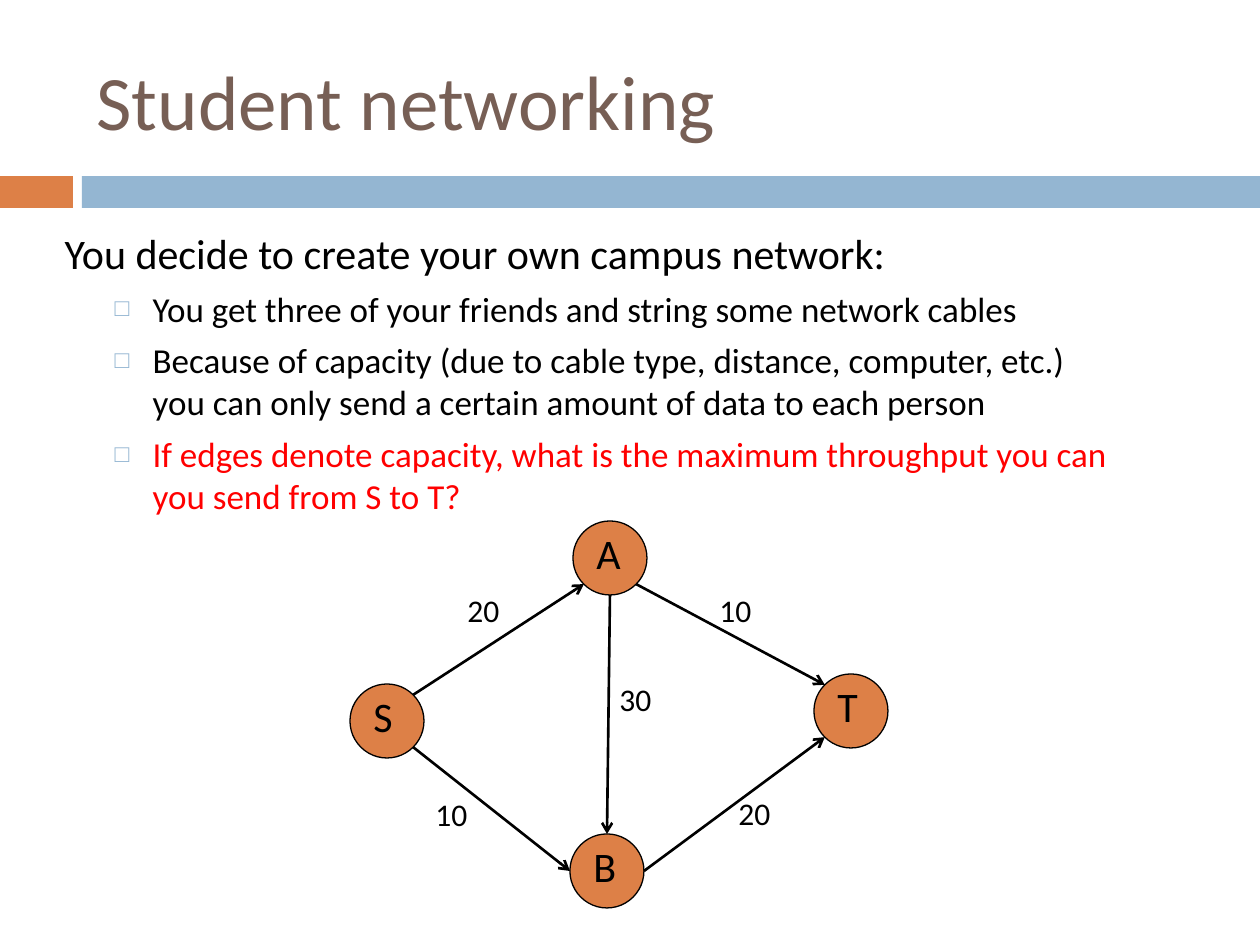
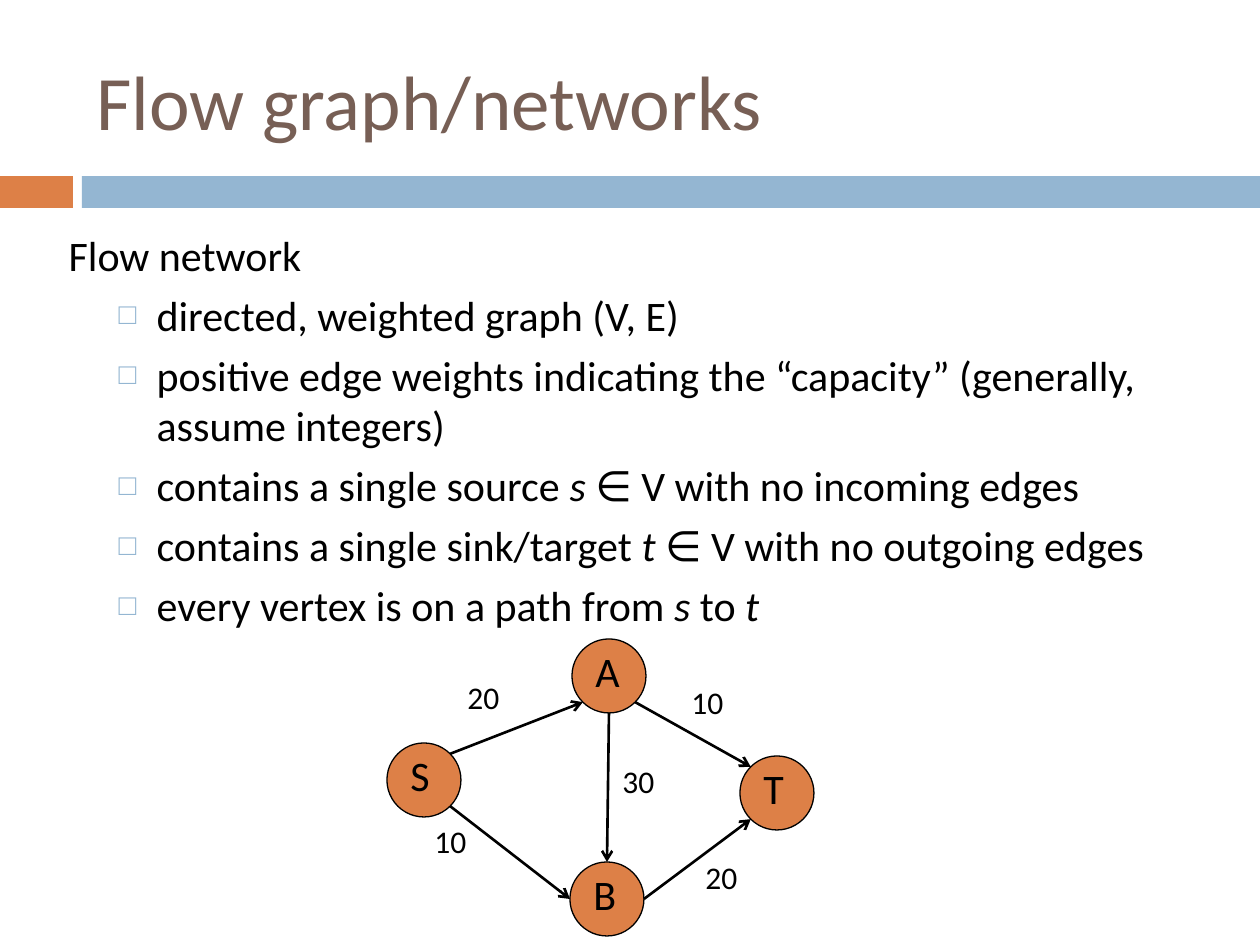
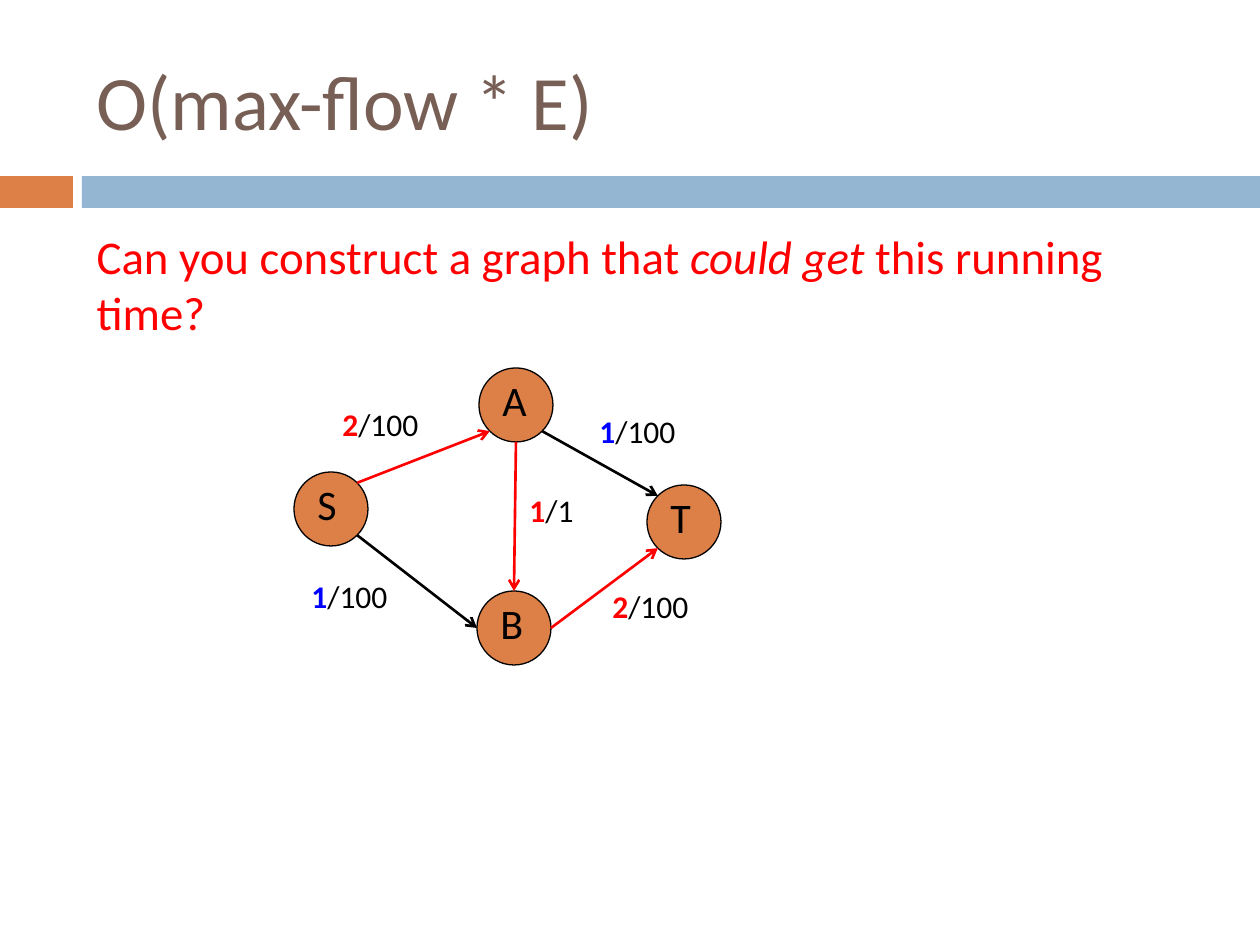
from math import cos, radians, sin

from lxml.etree import SubElement
from pptx import Presentation
from pptx.dml.color import RGBColor
from pptx.enum.shapes import MSO_CONNECTOR, MSO_SHAPE
from pptx.enum.text import MSO_ANCHOR, MSO_AUTO_SIZE, PP_ALIGN
from pptx.oxml.ns import qn
from pptx.util import Emu, Pt

# Shared look
SCALE = 914400 / 126
FONT = "Calibri"
BROWN, ORANGE, BLUE = "775F55", "DD8047", "94B6D2"
BLACK, RED, NAVY = "000000", "FF0000", "0000FF"
NODE = 74

# Edge: from node, angle, to node, angle (degrees clockwise from the right)
EDGES = [("S", -45, "A", 135), ("S", 45, "B", 180), ("B", 0, "T", 135),
         ("A", 90, "B", -90), ("A", 45, "T", -135)]


def px(n):
    return Emu(round(n * SCALE))


def rgb(code):
    return RGBColor.from_string(code)


def style(font, size, color):
    font.name = FONT
    font.size = Pt(size)
    font.color.rgb = rgb(color)


def place(shape, left, top, width, height):
    shape.left, shape.top = px(left), px(top)
    shape.width, shape.height = px(width), px(height)


def form(shapes, kind, box, fill, line=None):
    shape = shapes.add_shape(kind, *map(px, box))
    shape.shadow.inherit = False
    shape.fill.solid()
    shape.fill.fore_color.rgb = rgb(fill)
    if line:
        shape.line.color.rgb = rgb(line)
        shape.line.width = Pt(0.75)
    else:
        shape.line.fill.background()


def write(shapes, box, size):
    """Add a one-line text box and return its paragraph."""
    frame = shapes.add_textbox(*map(px, box)).text_frame
    frame.word_wrap = True
    para = frame.paragraphs[0]
    style(para.font, size, BLACK)
    return para


# Title and bands
def start(deck, title):
    slide = deck.slides.add_slide(deck.slide_layouts[1])
    form(slide.shapes, MSO_SHAPE.RECTANGLE, (0, 176, 73, 32), ORANGE)
    form(slide.shapes, MSO_SHAPE.RECTANGLE, (82, 176, 1178, 32), BLUE)
    head = slide.shapes.title
    place(head, 84, 32, 1124, 136)
    frame = head.text_frame
    frame.text = title
    frame.auto_size = MSO_AUTO_SIZE.NONE
    frame.vertical_anchor = MSO_ANCHOR.MIDDLE
    para = frame.paragraphs[0]
    para.alignment = PP_ALIGN.LEFT
    style(para.font, 44, BROWN)
    return slide


# Body list
def mark(para, level):
    """Give a paragraph its indent, and a square bullet below the top level."""
    prop = para._p.get_or_add_pPr()
    prop.set("marL", str(px(88 * level)))
    prop.set("indent", str(px(-38 * level)))
    if not level:
        SubElement(prop, qn("a:buNone"))
        return
    tint = SubElement(prop, qn("a:buClr"))
    SubElement(tint, qn("a:srgbClr")).set("val", BLUE)
    SubElement(prop, qn("a:buSzPct")).set("val", "70000")
    SubElement(prop, qn("a:buChar")).set("char", "□")


def body(slide, box, lines):
    """Fill the body with (text, level, size, color); _x_ is italic."""
    shape = slide.placeholders[1]
    place(shape, *box)
    frame = shape.text_frame
    frame.auto_size = MSO_AUTO_SIZE.NONE
    for i, (text, level, size, color) in enumerate(lines):
        para = frame.add_paragraph() if i else frame.paragraphs[0]
        para.level = level
        para.space_before = Pt(5.5 if i else 0)
        mark(para, level)
        style(para.font, size, color)
        for j, part in enumerate(text.split("_")):
            if part:
                run = para.add_run()
                run.text = part
                if j % 2:
                    run.font.italic = True


# Flow graph
def node(slide, name, left, top):
    group = slide.shapes.add_group_shape().shapes
    form(group, MSO_SHAPE.OVAL, (left, top, NODE, NODE), ORANGE, BLACK)
    write(group, (left + 11, top, 63, 63), 24).text = name


def rim(spot, angle):
    half = NODE / 2
    turn = radians(angle)
    return (px(spot[0] + half + half * cos(turn)),
            px(spot[1] + half + half * sin(turn)))


def arrow(slide, start, end, color):
    link = slide.shapes.add_connector(MSO_CONNECTOR.STRAIGHT, *start, *end)
    link.line.color.rgb = rgb(color)
    link.line.width = Pt(1.5)
    SubElement(link.get_or_add_ln(), qn("a:tailEnd")).set("type", "arrow")
    SubElement(link._element.spPr, qn("a:effectLst"))


def label(slide, text, color, left, top, width):
    """Write a capacity, or flow/capacity with the flow bold in color."""
    para = write(slide.shapes, (left, top, width, 50), 18)
    flow, slash, rest = text.partition("/")
    run = para.add_run()
    run.text = flow
    if slash:
        run.font.bold = True
        run.font.color.rgb = rgb(color)
        para.add_run().text = slash + rest


def graph(slide, spots, labels, route=()):
    """Draw nodes, edges and labels; edges in route are red."""
    for name, spot in spots.items():
        node(slide, name, *spot)
    for tail, out, head, into in EDGES:
        color = RED if tail + head in route else BLACK
        arrow(slide, rim(spots[tail], out), rim(spots[head], into), color)
    for item in labels:
        label(slide, *item)


def main():
    deck = Presentation()
    deck.slide_width, deck.slide_height = px(1260), px(945)

    # Slide 1
    slide = start(deck, "Student networking")
    body(slide, (52, 221, 1075, 324), [
        ("You decide to create your own campus network:", 0, 24, BLACK),
        ("You get three of your friends and string some network cables",
         1, 20, BLACK),
        ("Because of capacity (due to cable type, distance, computer, etc.) "
         "you can only send a certain amount of data to each person",
         1, 20, BLACK),
        ("If edges denote capacity, what is the maximum throughput you can "
         "you send from S to T?", 1, 20, RED),
    ])
    spots = {"S": (350, 684), "A": (573, 521), "B": (570, 834),
             "T": (814, 674)}
    graph(slide, spots, [
        ("20", BLACK, 455, 585, 95), ("20", BLACK, 726, 788, 95),
        ("10", BLACK, 423, 789, 95), ("10", BLACK, 707, 585, 95),
        ("30", BLACK, 607, 674, 95),
    ])

    # Slide 2
    slide = start(deck, "Flow graph/networks")
    points = [
        "directed, weighted graph (V, E)",
        "positive edge weights indicating the “capacity” (generally, "
        "assume integers)",
        "contains a single source _s _∈ V with no incoming edges",
        "contains a single sink/target _t _∈ V with no outgoing edges",
        "every vertex is on a path from _s_ to _t_",
    ]
    body(slide, (56, 223, 1191, 336),
         [("Flow network", 0, 24, BLACK)]
         + [(point, 1, 24, BLACK) for point in points])
    spots = {"S": (387, 743), "A": (572, 639), "B": (570, 862),
             "T": (740, 756)}
    graph(slide, spots, [
        ("20", BLACK, 455, 672, 95), ("20", BLACK, 693, 852, 95),
        ("10", BLACK, 422, 816, 95), ("10", BLACK, 679, 677, 95),
        ("30", BLACK, 610, 756, 95),
    ])

    # Slide 3: the same graph, moved up and left
    slide = start(deck, "O(max-flow * E)")
    body(slide, (84, 221, 1124, 88), [
        ("Can you construct a graph that _could get_ this running time?",
         0, 26.8, RED),
    ])
    moved = {name: (x - 93, y - 271) for name, (x, y) in spots.items()}
    graph(slide, moved, [
        ("2/100", RED, 330, 399, 127), ("2/100", RED, 600, 581, 137),
        ("1/100", NAVY, 299, 571, 146), ("1/100", NAVY, 587, 406, 135),
        ("1/1", RED, 517, 485, 95),
    ], ("SA", "AB", "BT"))

    deck.save("out.pptx")


if __name__ == "__main__":
    main()
